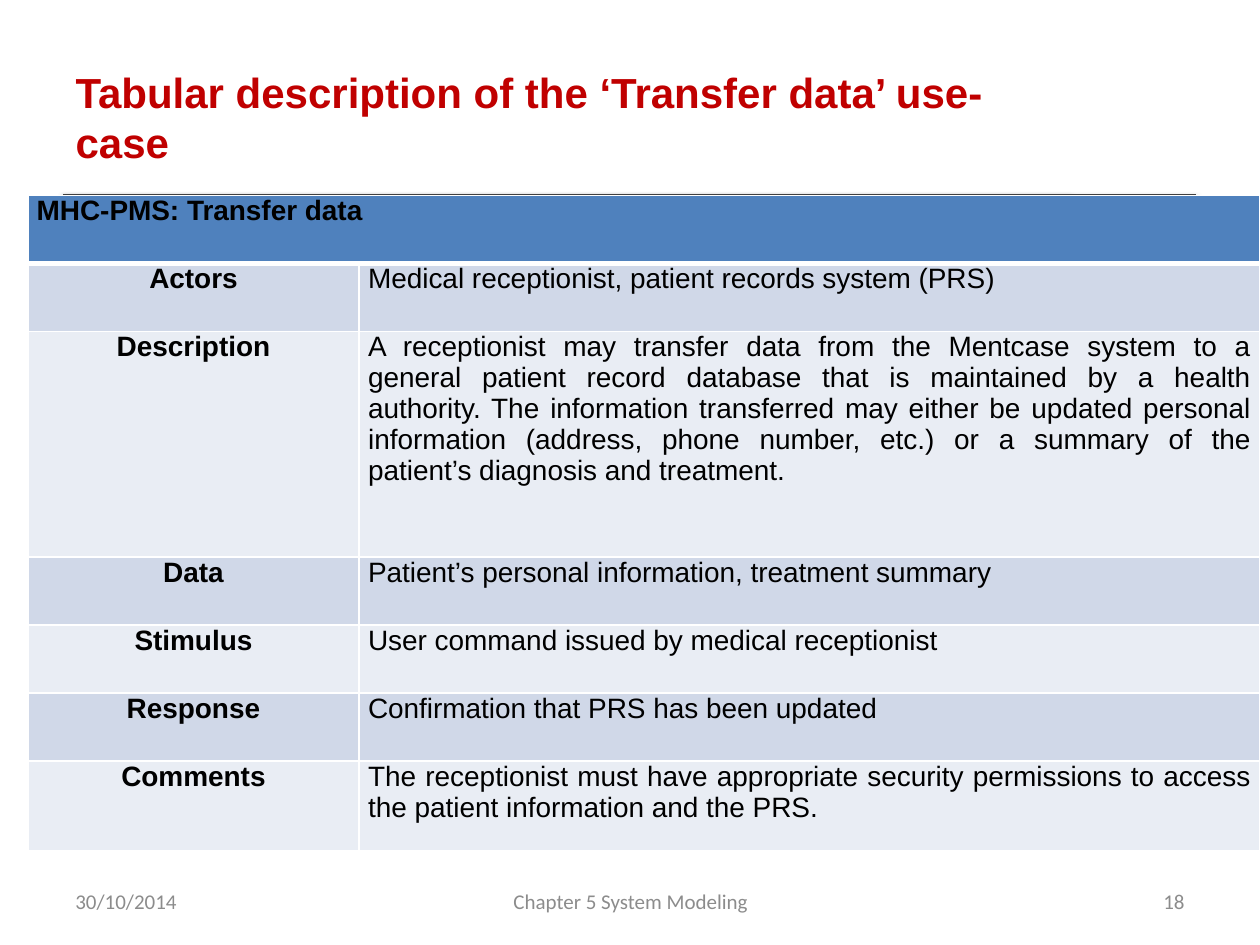
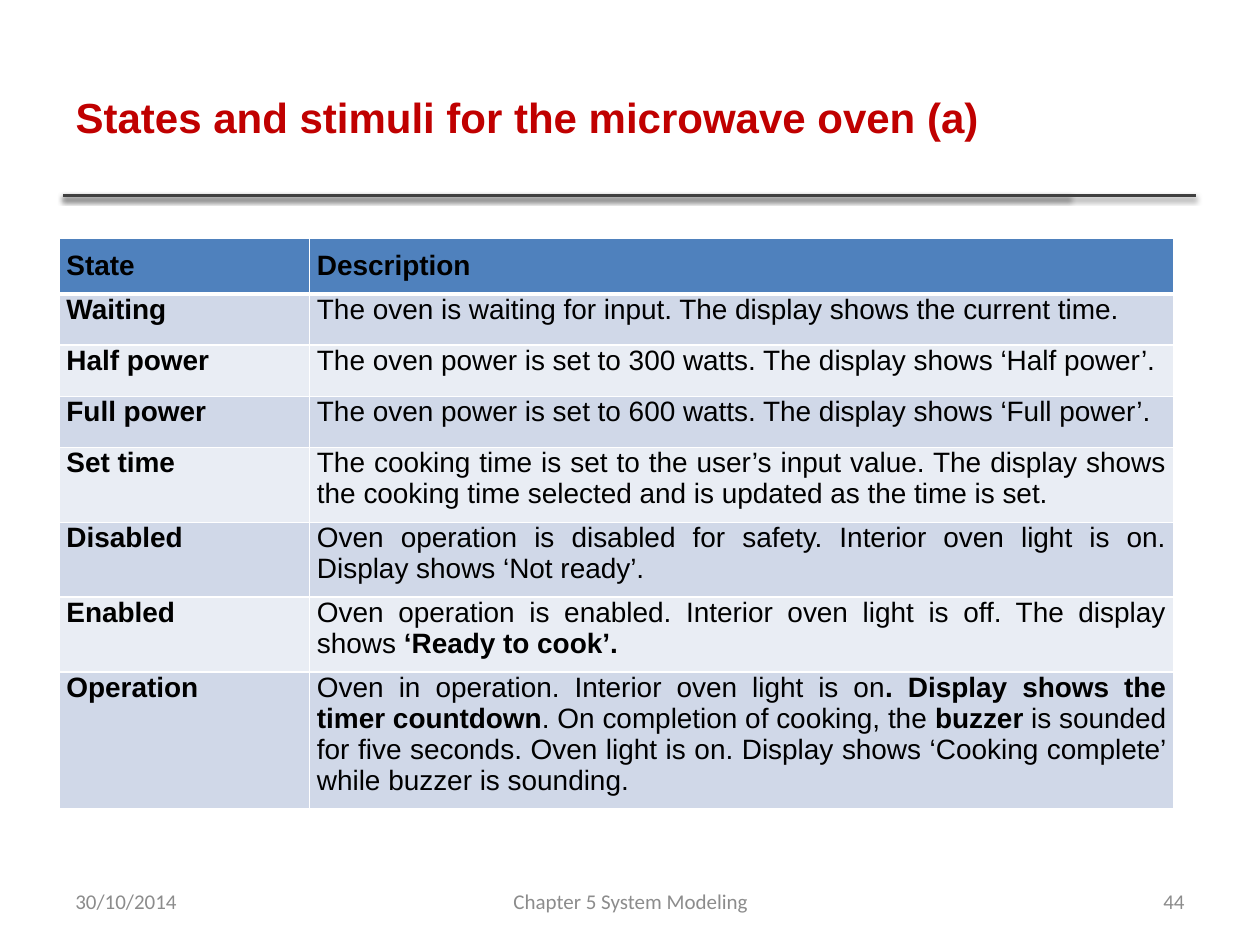
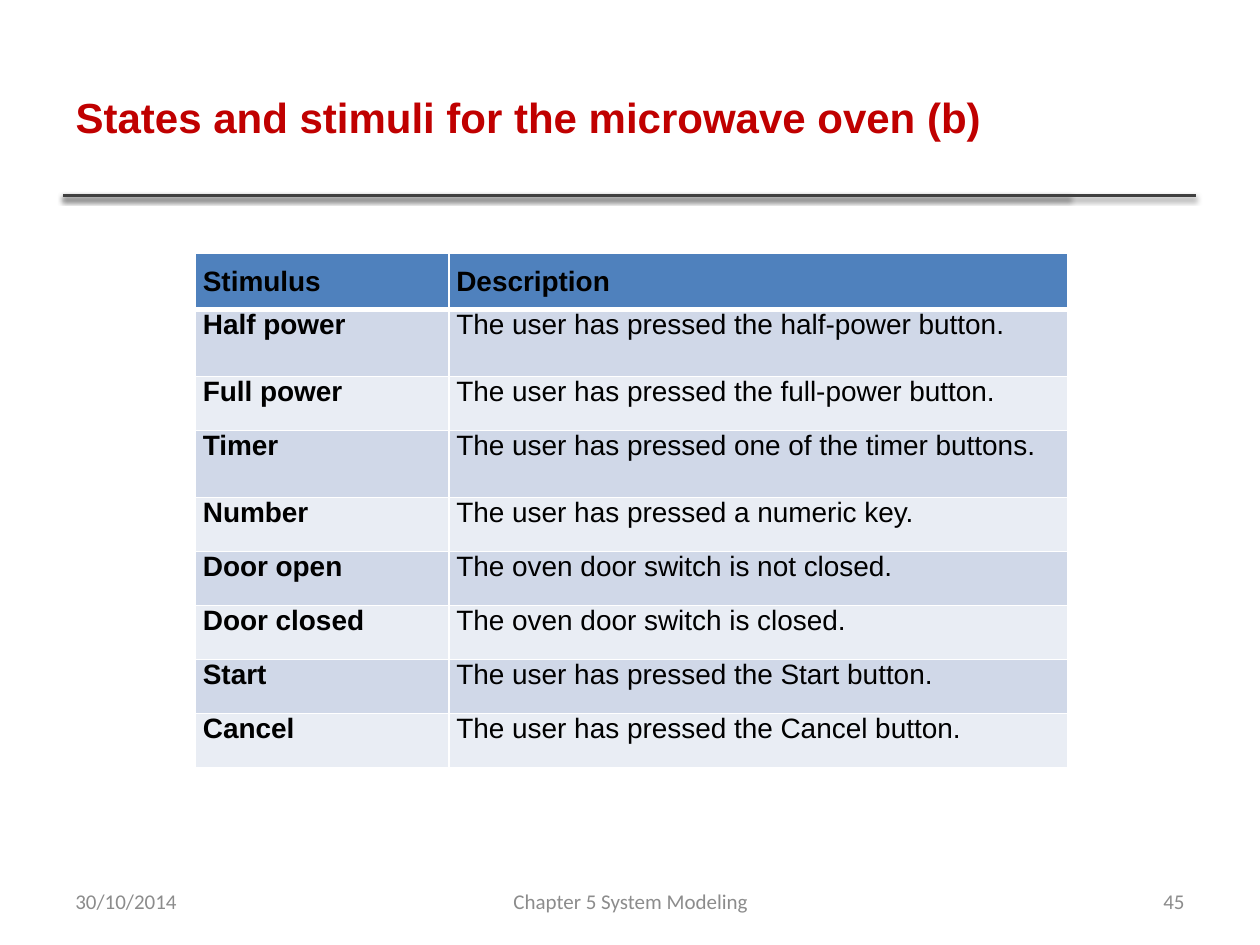
from dataclasses import dataclass

from lxml.etree import SubElement
from pptx import Presentation
from pptx.dml.color import RGBColor
from pptx.enum.shapes import MSO_CONNECTOR
from pptx.enum.text import MSO_ANCHOR, MSO_AUTO_SIZE, PP_ALIGN
from pptx.oxml import parse_xml
from pptx.oxml.ns import nsdecls, qn
from pptx.slide import Slide
from pptx.util import Cm, Pt

RED = "C00000"
BLACK = "000000"
WHITE = "FFFFFF"
GREY = "8C8C8C"
RULE = "404040"
HEADER = "4F81BD"
BANDS = ("D0D8E8", "E9EDF4")
TITLE_FONT = BODY_FONT = "Arial"
FOOTER_FONT = "Calibri"


@dataclass(frozen=True)
class FooterItem:
    text: str
    left: float
    width: float
    align: PP_ALIGN


@dataclass(frozen=True)
class TableSpec:
    left: float
    top: float
    cols: tuple[float, ...]
    heights: tuple[float, ...]
    rows: tuple[tuple[str, ...], ...]
    side: float = 0.15
    padding: float = 0.25
    label_align: PP_ALIGN = PP_ALIGN.JUSTIFY


@dataclass(frozen=True)
class SlideSpec:
    title: str
    number: int
    table: TableSpec


SLIDES = (
    SlideSpec("Tabular description of the ‘Transfer data’ use-case", 18, TableSpec(
        left=0.56, top=3.94, cols=(6.68, 18.16),
        heights=(1.37, 1.37, 4.55, 1.37, 1.37, 1.37, 1.8),
        side=0.18, padding=0, label_align=PP_ALIGN.CENTER,
        rows=(
            ("MHC-PMS: Transfer data",),
            ("Actors", "Medical receptionist, patient records system (PRS)"),
            ("Description",
             "A receptionist may transfer data from the Mentcase system to a general "
             "patient record database that is maintained by a health authority. The "
             "information transferred may either be updated personal information "
             "(address, phone number, etc.) or a summary of the patient’s diagnosis "
             "and treatment."),
            ("Data", "Patient’s personal information, treatment summary"),
            ("Stimulus", "User command issued by medical receptionist"),
            ("Response", "Confirmation that PRS has been updated"),
            ("Comments",
             "The receptionist must have appropriate security permissions to access "
             "the patient information and the PRS."),
        ))),
    SlideSpec("States and stimuli for the microwave oven (a)", 44, TableSpec(
        left=1.19, top=4.8, cols=(5.05, 17.42),
        heights=(1.12, 1.03, 1.03, 1.03, 1.51, 1.51, 1.51, 2.76),
        rows=(
            ("State", "Description"),
            ("Waiting", "The oven is waiting for input. The display shows the current time."),
            ("Half power",
             "The oven power is set to 300 watts. The display shows ‘Half power’."),
            ("Full power",
             "The oven power is set to 600 watts. The display shows ‘Full power’."),
            ("Set time",
             "The cooking time is set to the user’s input value. The display shows the "
             "cooking time selected and is updated as the time is set."),
            ("Disabled",
             "Oven operation is disabled for safety. Interior oven light is on. "
             "Display shows ‘Not ready’."),
            ("Enabled",
             "Oven operation is enabled. Interior oven light is off. The display shows "
             "**‘Ready to cook’.**"),
            ("Operation",
             "Oven in operation. Interior oven light is on**. Display shows the timer "
             "countdown**. On completion of cooking, the **buzzer** is sounded for five "
             "seconds. Oven light is on. Display shows ‘Cooking complete’ while buzzer "
             "is sounding."),
        ))),
    SlideSpec("States and stimuli for the microwave oven (b)", 45, TableSpec(
        left=3.94, top=5.11, cols=(5.11, 12.47),
        heights=(1.12, 1.35, 1.09, 1.35) + (1.09,) * 5,
        rows=(
            ("Stimulus", "Description"),
            ("Half power", "The user has pressed the half-power button."),
            ("Full power", "The user has pressed the full-power button."),
            ("Timer", "The user has pressed one of the timer buttons."),
            ("Number", "The user has pressed a numeric key."),
            ("Door open", "The oven door switch is not closed."),
            ("Door closed", "The oven door switch is closed."),
            ("Start", "The user has pressed the Start button."),
            ("Cancel", "The user has pressed the Cancel button."),
        ))),
)


def rgb(color: str) -> RGBColor:
    return RGBColor.from_string(color)


def style(p, font: str, size: float, color: str, bold: bool, align: PP_ALIGN) -> None:
    p.alignment = align
    p.font.name = font
    p.font.size = Pt(size)
    p.font.bold = bold
    p.font.color.rgb = rgb(color)


def add_title(s: Slide, text: str) -> None:
    sp = s.shapes.title
    sp.left, sp.top, sp.width, sp.height = Cm(1.27), Cm(0.76), Cm(20.27), Cm(3.18)
    tf = sp.text_frame
    tf.text = text
    tf.word_wrap = True
    tf.auto_size = MSO_AUTO_SIZE.NONE
    tf.vertical_anchor = MSO_ANCHOR.MIDDLE
    style(tf.paragraphs[0], TITLE_FONT, 24, RED, True, PP_ALIGN.LEFT)


def add_rule(s: Slide, right: float) -> None:
    y = Cm(3.94)
    line = s.shapes.add_connector(MSO_CONNECTOR.STRAIGHT, Cm(1.27), y, Cm(right), y)
    line.line.color.rgb = rgb(RULE)
    line.line.width = Pt(2)
    line._element.spPr.append(parse_xml(
        f'<a:effectLst {nsdecls("a")}>'
        f'<a:outerShdw blurRad="{Pt(3.1)}" dist="{Pt(1.6)}" dir="5400000" rotWithShape="0">'
        f'<a:srgbClr val="{BLACK}"><a:alpha val="38000"/></a:srgbClr>'
        '</a:outerShdw></a:effectLst>'))


def add_footer(s: Slide, item: FooterItem) -> None:
    sp = s.shapes.add_textbox(Cm(item.left), Cm(17.65), Cm(item.width), Cm(1.02))
    tf = sp.text_frame
    tf.text = item.text
    tf.word_wrap = True
    tf.vertical_anchor = MSO_ANCHOR.MIDDLE
    style(tf.paragraphs[0], FOOTER_FONT, 12, GREY, False, item.align)


def set_borders(cell, top: float, bottom: float) -> None:
    tc_pr = cell._tc.get_or_add_tcPr()
    for side, width in (("L", 1), ("R", 1), ("T", top), ("B", bottom)):
        ln = SubElement(tc_pr, qn(f"a:ln{side}"), w=str(Pt(width)))
        fill = SubElement(ln, qn("a:solidFill"))
        SubElement(fill, qn("a:srgbClr"), val=WHITE)


def format_cell(cell, spec: TableSpec, row: int) -> None:
    set_borders(cell, top=3 if row == 1 else 1, bottom=3 if row == 0 else 1)
    cell.fill.solid()
    cell.fill.fore_color.rgb = rgb(BANDS[(row - 1) % 2] if row else HEADER)
    cell.margin_left = cell.margin_right = Cm(spec.side)
    cell.margin_top = Cm(0 if row else spec.padding)
    cell.margin_bottom = Cm(spec.padding)


def write_cell(cell, text: str, bold: bool, align: PP_ALIGN) -> None:
    p = cell.text_frame.paragraphs[0]
    style(p, BODY_FONT, 16, BLACK, bold, align)
    for i, part in enumerate(text.split("**")):
        if part:
            r = p.add_run()
            r.text = part
            if i % 2:
                r.font.bold = True


def add_table(s: Slide, spec: TableSpec) -> None:
    table = s.shapes.add_table(
        len(spec.rows), len(spec.cols), Cm(spec.left), Cm(spec.top),
        Cm(sum(spec.cols)), Cm(sum(spec.heights))).table
    table.first_row = table.horz_banding = False
    for column, width in zip(table.columns, spec.cols):
        column.width = Cm(width)
    for i, (row, height, texts) in enumerate(zip(table.rows, spec.heights, spec.rows)):
        row.height = Cm(height)
        for cell in row.cells:
            format_cell(cell, spec, i)
        if len(texts) < len(spec.cols):
            table.cell(i, 0).merge(table.cell(i, len(spec.cols) - 1))
        for j, text in enumerate(texts):
            is_label = i > 0 and j == 0
            write_cell(table.cell(i, j), text, i == 0 or j == 0,
                       spec.label_align if is_label else PP_ALIGN.JUSTIFY)


def add_slide(prs, spec: SlideSpec) -> None:
    s = prs.slides.add_slide(prs.slide_layouts[5])
    for right in (21.56, 24.1):
        add_rule(s, right)
    add_title(s, spec.title)
    add_table(s, spec.table)
    for item in (
        FooterItem("30/10/2014", 1.27, 5.92, PP_ALIGN.LEFT),
        FooterItem("Chapter 5 System Modeling", 8.69, 8.05, PP_ALIGN.CENTER),
        FooterItem(str(spec.number), 18.21, 5.92, PP_ALIGN.RIGHT),
    ):
        add_footer(s, item)


def main() -> None:
    prs = Presentation()
    prs.slide_width, prs.slide_height = Cm(25.4), Cm(19.05)
    for spec in SLIDES:
        add_slide(prs, spec)
    prs.save("out.pptx")


if __name__ == "__main__":
    main()
